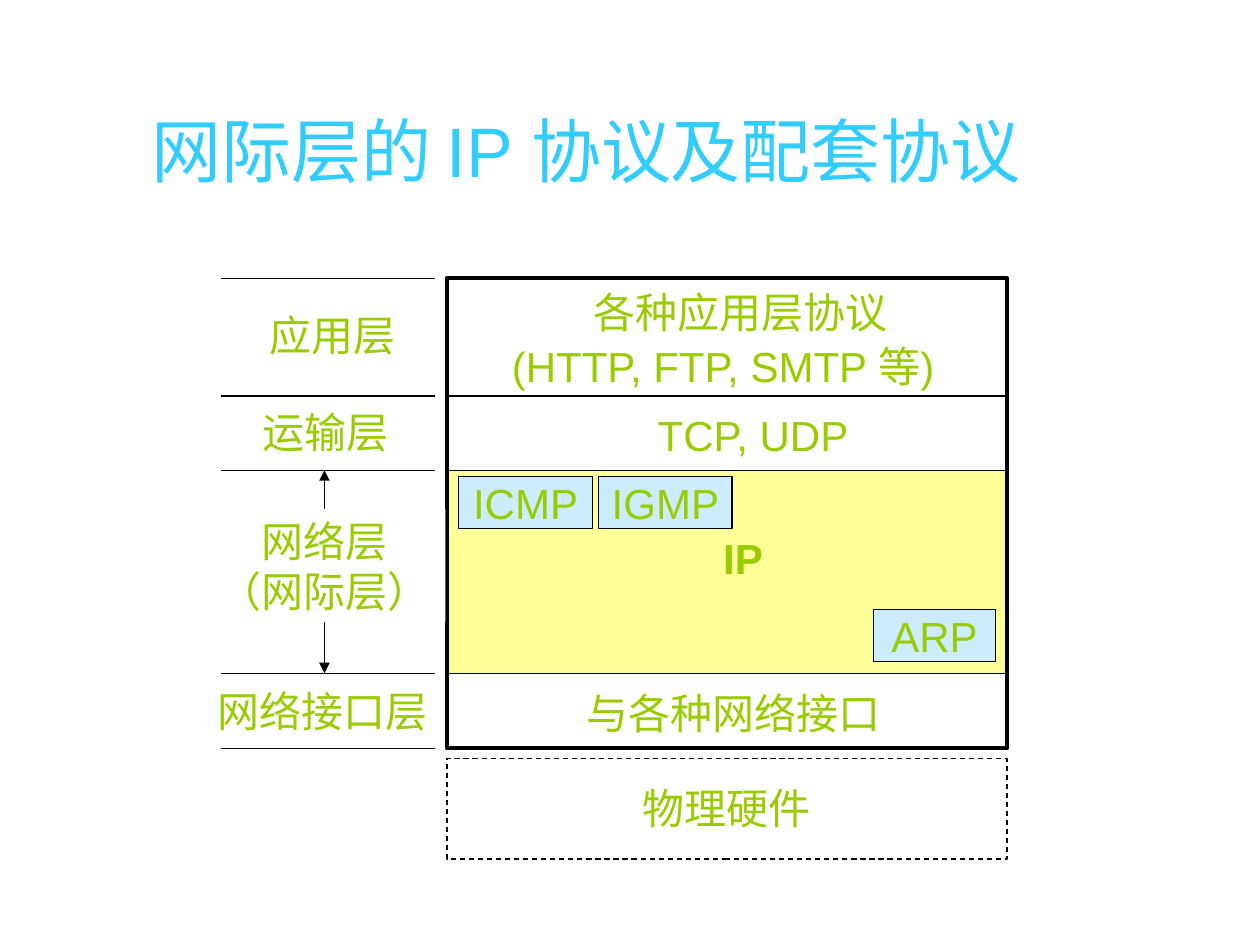
from dataclasses import dataclass

from lxml.etree import SubElement
from pptx import Presentation
from pptx.dml.color import RGBColor
from pptx.enum.dml import MSO_LINE
from pptx.enum.shapes import MSO_CONNECTOR, MSO_SHAPE
from pptx.enum.text import MSO_ANCHOR, MSO_AUTO_SIZE, PP_ALIGN
from pptx.oxml.ns import qn
from pptx.util import Cm, Pt


@dataclass(frozen=True)
class Theme:
    font: str = "Arial"
    title_size: int = 40
    body_size: int = 24
    title: RGBColor = RGBColor(0x33, 0xCC, 0xFF)
    text: RGBColor = RGBColor(0x99, 0xCC, 0x00)
    line: RGBColor = RGBColor(0x00, 0x00, 0x00)
    ip_band: RGBColor = RGBColor(0xFF, 0xFF, 0x99)
    protocol: RGBColor = RGBColor(0xCC, 0xEC, 0xFF)
    paper: RGBColor = RGBColor(0xFF, 0xFF, 0xFF)
    thin: float = 0.75
    thick: float = 2.25


THEME = Theme()
TITLE = "网际层的 IP 协议及配套协议"

# All places and lengths are in centimetres.
STACK_LEFT, STACK_WIDTH = 9.01, 11.29
TICK_LEFT, TICK_RIGHT = 4.45, 8.76
ARROW_X = 6.54
LAYER_EDGES = [5.61, 7.98, 9.48, 13.57, 15.09]
STACK_TOP, _, IP_TOP, IP_BOTTOM, STACK_BOTTOM = LAYER_EDGES
HARDWARE_TOP, HARDWARE_HEIGHT = 15.29, 2.03
LABEL_HEIGHT = 1.27

# text, left, top, width
LABELS = [
    ("应用层", 5.18, 6.12, 3.05),
    ("运输层", 5.05, 8.07, 3.05),
    ("各种应用层协议", 11.71, 5.66, 6.43),
    ("(HTTP, FTP, SMTP 等)", 10.07, 6.73, 9.65),
    ("TCP, UDP", 13.01, 8.13, 4.45),
    ("IP", 14.33, 10.62, 1.3),
    ("与各种网络接口", 11.58, 13.73, 6.43),
    ("物理硬件", 12.7, 15.65, 3.89),
]
INTERFACE_LABEL = ("网络接口层", 4.14, 13.93, 4.75)
NETWORK_LABEL = ("网络层\n（网际层）", 4.1, 10.26, 4.88)
NETWORK_MARGIN = 0.1

# text, left, top, width
PROTOCOLS = [
    ("ICMP", 9.25, 9.61, 2.69),
    ("IGMP", 12.07, 9.61, 2.69),
    ("ARP", 17.61, 12.29, 2.46),
]
PROTOCOL_HEIGHT = 1.04


def style_text(frame, size, color, align=None, bold=None):
    for paragraph in frame.paragraphs:
        paragraph.alignment = align
        for run in paragraph.runs:
            run.font.name = THEME.font
            run.font.size = Pt(size)
            run.font.color.rgb = color
            run.font.bold = bold


def add_box(slide, left, top, width, height, fill=None, weight=None):
    """Add a rectangle; no fill or no weight leaves that part invisible."""
    box = slide.shapes.add_shape(
        MSO_SHAPE.RECTANGLE, Cm(left), Cm(top), Cm(width), Cm(height))
    box.shadow.inherit = False
    if fill is None:
        box.fill.background()
    else:
        box.fill.solid()
        box.fill.fore_color.rgb = fill
    if weight is None:
        box.line.fill.background()
    else:
        box.line.color.rgb = THEME.line
        box.line.width = Pt(weight)
    return box


def add_line(slide, x1, y1, x2, y2):
    line = slide.shapes.add_connector(
        MSO_CONNECTOR.STRAIGHT, Cm(x1), Cm(y1), Cm(x2), Cm(y2))
    line.line.color.rgb = THEME.line
    line.line.width = Pt(THEME.thin)
    SubElement(line._element.spPr, qn("a:effectLst"))
    return line


def add_label(slide, text, left, top, width, height=LABEL_HEIGHT):
    label = slide.shapes.add_textbox(Cm(left), Cm(top), Cm(width), Cm(height))
    frame = label.text_frame
    frame.text = text
    frame.word_wrap = False
    frame.auto_size = MSO_AUTO_SIZE.SHAPE_TO_FIT_TEXT
    style_text(frame, THEME.body_size, THEME.text, bold=text == "IP" or None)
    return label


def add_title(slide):
    title = slide.shapes.title
    title.left, title.top, title.width, title.height = (
        Cm(1.3), Cm(2.13), Cm(21.03), Cm(1.78))
    title.text_frame.text = TITLE
    title.text_frame.vertical_anchor = MSO_ANCHOR.MIDDLE
    style_text(title.text_frame, THEME.title_size, THEME.title, PP_ALIGN.CENTER)


def add_stack(slide):
    add_box(slide, STACK_LEFT, IP_TOP, STACK_WIDTH, IP_BOTTOM - IP_TOP,
            fill=THEME.ip_band)
    add_box(slide, STACK_LEFT, STACK_TOP, STACK_WIDTH, STACK_BOTTOM - STACK_TOP,
            weight=THEME.thick)
    hardware = add_box(slide, STACK_LEFT, HARDWARE_TOP, STACK_WIDTH,
                       HARDWARE_HEIGHT, THEME.paper, THEME.thin)
    hardware.line.dash_style = MSO_LINE.DASH
    for edge in LAYER_EDGES:
        add_line(slide, TICK_LEFT, edge, TICK_RIGHT, edge)
    for edge in LAYER_EDGES[1:-1]:
        add_line(slide, STACK_LEFT, edge, STACK_LEFT + STACK_WIDTH, edge)


def add_network_span(slide):
    """Add the two-headed arrow with its label lying over the middle."""
    arrow = add_line(slide, ARROW_X, IP_TOP, ARROW_X, IP_BOTTOM)
    outline = arrow.line._get_or_add_ln()
    for end in ("a:headEnd", "a:tailEnd"):
        SubElement(outline, qn(end), type="triangle")
    label = add_label(slide, *NETWORK_LABEL, height=2.29)
    label.fill.solid()
    label.fill.fore_color.rgb = THEME.paper
    frame = label.text_frame
    frame.margin_left = frame.margin_right = Cm(NETWORK_MARGIN)
    style_text(frame, THEME.body_size, THEME.text, PP_ALIGN.CENTER)


def add_protocols(slide):
    for name, left, top, width in PROTOCOLS:
        box = add_box(slide, left, top, width, PROTOCOL_HEIGHT,
                      THEME.protocol, THEME.thin)
        box.text_frame.text = name
        box.text_frame.word_wrap = False
        box.text_frame.vertical_anchor = MSO_ANCHOR.MIDDLE
        style_text(box.text_frame, THEME.body_size, THEME.text, PP_ALIGN.CENTER)


def main():
    deck = Presentation()
    deck.slide_width, deck.slide_height = Cm(25.4), Cm(19.05)
    slide = deck.slides.add_slide(deck.slide_layouts[5])
    add_title(slide)
    add_stack(slide)
    add_network_span(slide)
    add_protocols(slide)
    for label in LABELS:
        add_label(slide, *label)
    interface = add_label(slide, *INTERFACE_LABEL, height=1.02)
    interface.text_frame.paragraphs[0].line_spacing = 0.75
    deck.save("out.pptx")


if __name__ == "__main__":
    main()
